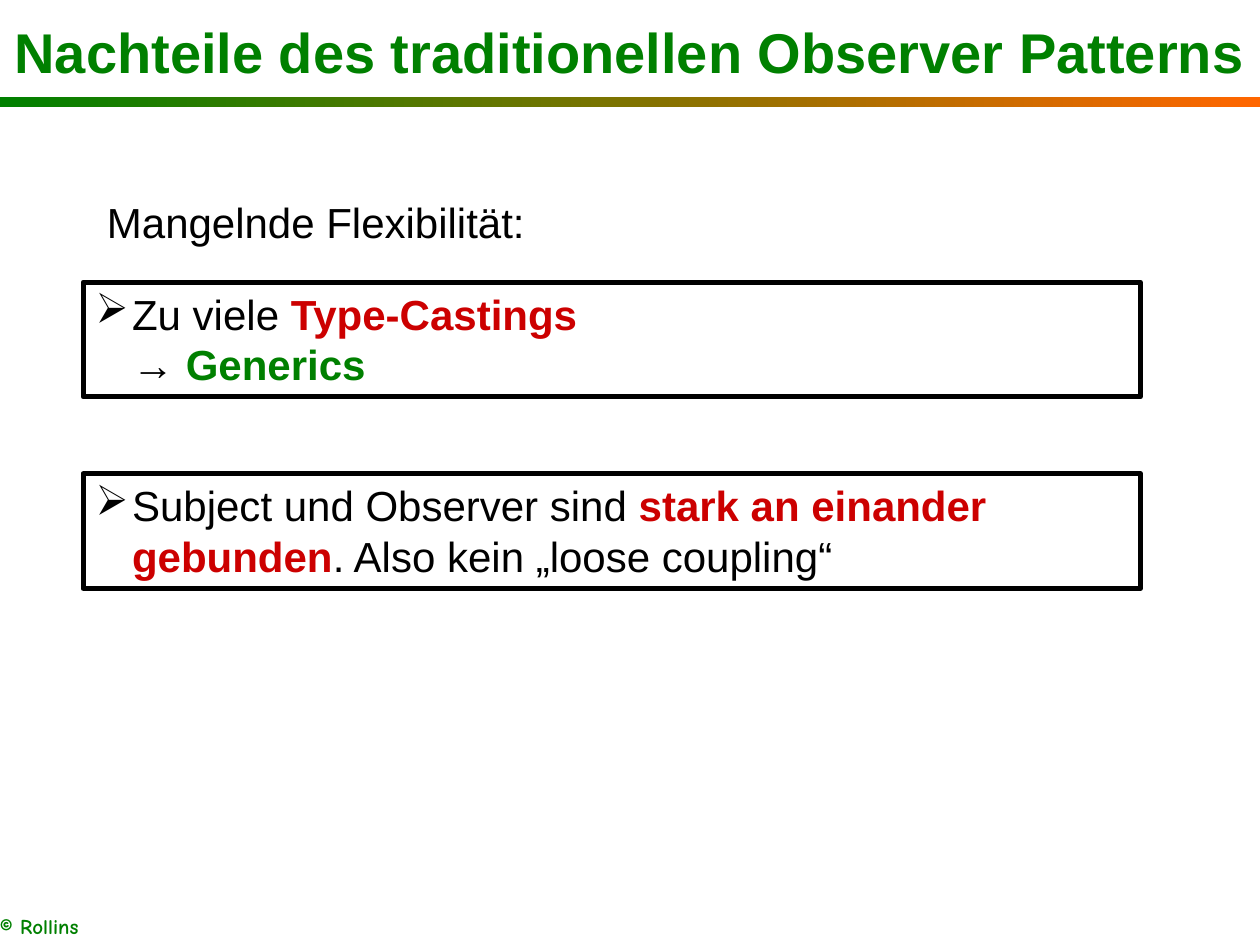
import dataclasses

import pptx
import pptx.dml.color
import pptx.enum.shapes
import pptx.enum.text
import pptx.util
from lxml import etree
from pptx.oxml.ns import qn
from pptx.util import Inches

Color = pptx.dml.color.RGBColor
Anchor = pptx.enum.text.MSO_ANCHOR
RECTANGLE = pptx.enum.shapes.MSO_SHAPE.RECTANGLE


@dataclasses.dataclass(frozen=True)
class Theme:
    green: Color = Color.from_string("008000")
    orange: Color = Color.from_string("FF6600")
    red: Color = Color.from_string("CC0000")
    black: Color = Color.from_string("000000")
    font: str = "Arial"
    footer_font: str = "Comic Neue"
    title_size: int = 32
    body_size: int = 24
    footer_size: int = 12
    border: int = 3


THEME = Theme()


def style(paragraph, size, color, font=THEME.font, bold=False):
    paragraph.font.name = font
    paragraph.font.size = pptx.util.Pt(size)
    paragraph.font.color.rgb = color
    paragraph.font.bold = bold


def add_text(slide, box, text):
    """Add a wrapped text box and return its frame."""
    frame = slide.shapes.add_textbox(*map(Inches, box)).text_frame
    frame.word_wrap = True
    frame.text = text
    return frame


def add_header(slide, box):
    left, top, width, height = box
    bar_height = 0.08

    # Gradient bar along the bottom edge
    bar = slide.shapes.add_shape(
        RECTANGLE, Inches(left), Inches(top + height - bar_height),
        Inches(width), Inches(bar_height))
    bar.shadow.inherit = False
    bar.line.fill.background()
    bar.fill.gradient()
    bar.fill.gradient_angle = 0
    for stop, color, position in zip(
            bar.fill.gradient_stops, (THEME.green, THEME.orange), (0, 1)):
        stop.color.rgb = color
        stop.position = position

    # Title above the bar
    title = add_text(slide, (left, top, width, height - bar_height),
                     "Nachteile des traditionellen Observer Patterns")
    title.margin_left = title.margin_right = 0
    title.vertical_anchor = Anchor.MIDDLE
    title.paragraphs[0].alignment = pptx.enum.text.PP_ALIGN.CENTER
    style(title.paragraphs[0], THEME.title_size, THEME.green, bold=True)


def add_bullet(paragraph, indent):
    properties = paragraph._p.get_or_add_pPr()
    properties.set("marL", str(Inches(indent)))
    properties.set("indent", str(-Inches(indent)))
    bullet = etree.Element(qn("a:buChar"), char="➢")
    properties.insert_element_before(bullet, "a:tabLst", "a:defRPr", "a:extLst")


def add_drawback(slide, box, lines):
    """Add a framed bullet; each line lists (text, emphasis colour or None)."""
    panel = slide.shapes.add_shape(RECTANGLE, *map(Inches, box))
    panel.shadow.inherit = False
    panel.fill.background()
    panel.line.color.rgb = THEME.black
    panel.line.width = pptx.util.Pt(THEME.border)

    frame = panel.text_frame
    frame.word_wrap = True
    frame.vertical_anchor = Anchor.TOP
    paragraph = frame.paragraphs[0]
    paragraph.alignment = pptx.enum.text.PP_ALIGN.LEFT
    style(paragraph, THEME.body_size, THEME.black)
    add_bullet(paragraph, 0.29)
    for number, line in enumerate(lines):
        if number:
            paragraph.add_line_break()
        for text, emphasis in line:
            run = paragraph.add_run()
            run.text = text
            # Runs carry their own format because emphasis varies
            style(run, THEME.body_size, emphasis or THEME.black,
                  bold=emphasis is not None)


def add_drawbacks(slide, box):
    left, top, width, height = box
    intro = add_text(slide, (left + 0.09, top, width, 0.5),
                     "Mangelnde Flexibilität:")
    style(intro.paragraphs[0], THEME.body_size, THEME.black)

    drawbacks = [
        [[("Zu viele ", None), ("Type-Castings", THEME.red)],
         [("→ ", None), ("Generics", THEME.green)]],
        [[("Subject und Observer sind ", None),
          ("stark an einander gebunden", THEME.red),
          (". Also kein „loose coupling“", None)]],
    ]
    first_top, pitch, panel_height = top + 0.73, 1.52, 0.91
    for index, lines in enumerate(drawbacks):
        add_drawback(slide, (left, first_top + index * pitch,
                             width, panel_height), lines)


def add_footer(slide, box):
    footer = add_text(slide, box, "© Rollins")
    footer.margin_left = footer.margin_bottom = 0
    style(footer.paragraphs[0], THEME.footer_size, THEME.green,
          THEME.footer_font, bold=True)


def main():
    deck = pptx.Presentation()
    deck.slide_width, deck.slide_height = Inches(10), Inches(7.5)
    slide = deck.slides.add_slide(deck.slide_layouts[6])
    add_header(slide, (0, 0.04, 10, 0.81))
    add_drawbacks(slide, (0.66, 1.51, 8.39, 3.16))
    add_footer(slide, (0, 7.2, 1.5, 0.25))
    deck.save("out.pptx")


if __name__ == "__main__":
    main()
